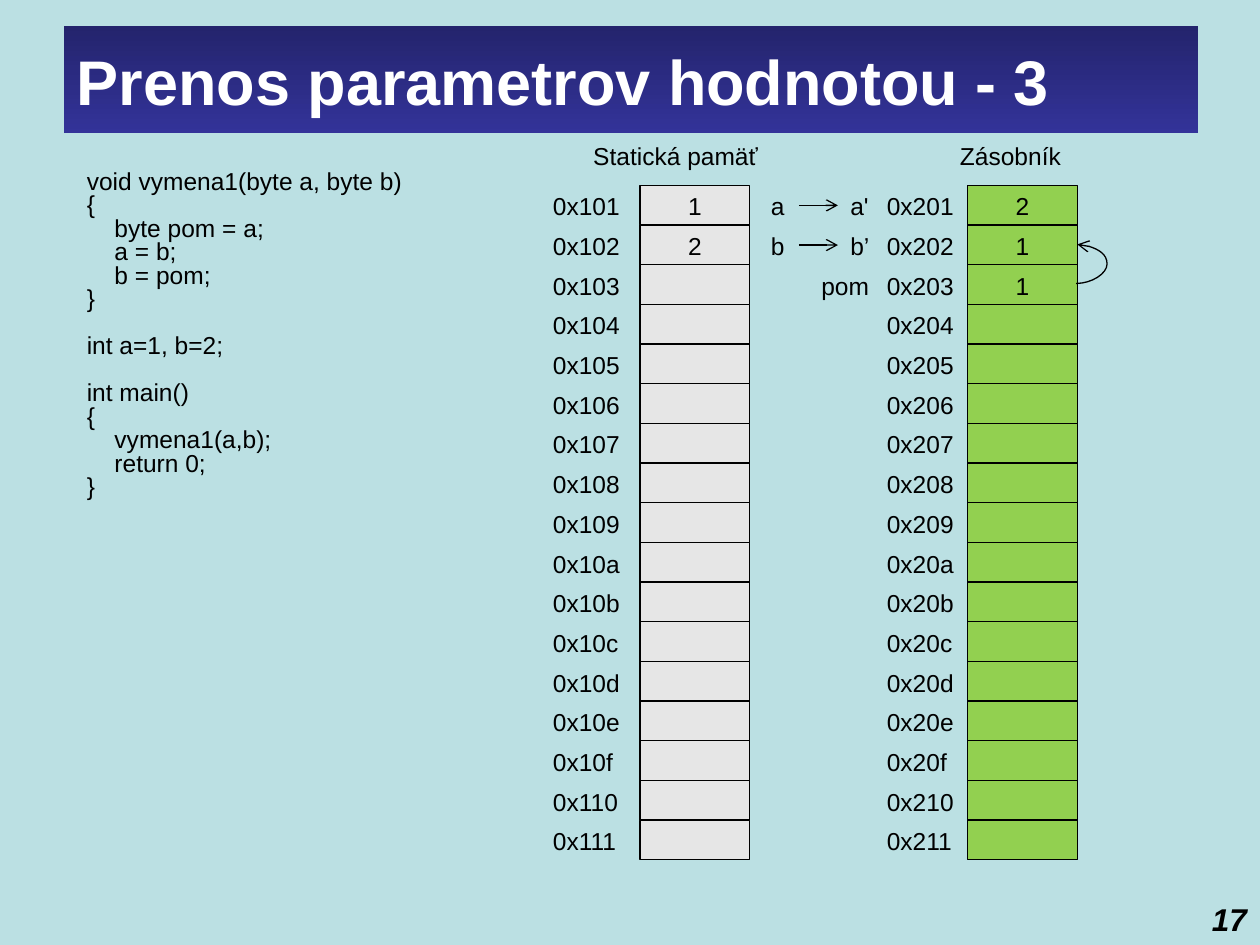
import pptx
import pptx.util
import pptx.dml.color
import pptx.enum.dml
import pptx.enum.shapes
import pptx.enum.text
import pptx.oxml
import pptx.oxml.ns
import lxml.etree

Inches = pptx.util.Inches
Pt = pptx.util.Pt
RGBColor = pptx.dml.color.RGBColor
Anchor = pptx.enum.text.MSO_ANCHOR
Align = pptx.enum.text.PP_ALIGN
Connector = pptx.enum.shapes.MSO_CONNECTOR

BACKGROUND = RGBColor(0xBB, 0xE0, 0xE3)
TITLE_TOP = RGBColor(0x24, 0x24, 0x6D)
TITLE_BOTTOM = RGBColor(0x33, 0x33, 0x99)
WHITE = RGBColor(0xFF, 0xFF, 0xFF)
BLACK = RGBColor(0x00, 0x00, 0x00)
STATIC_GREY = RGBColor(0xE6, 0xE6, 0xE6)
STACK_GREEN = RGBColor(0x92, 0xD0, 0x50)

ROW_COUNT = 17
ROW_TOP = 1.47
ROW_HEIGHT = 0.315
CELL_WIDTH = 0.87
LABEL_HEIGHT = 0.34
CODE_INDENT = 0.22
BLANK_LINE = 13.5

CODE_BLOCKS = [
    [(0, "void vymena1(byte a, byte b)"), (0, "{"), (1, "byte pom = a;"),
     (1, "a = b;"), (1, "b = pom;"), (0, "}")],
    [(0, "int a=1, b=2;")],
    [(0, "int main()"), (0, "{"), (1, "vymena1(a,b);"), (1, "return 0;"), (0, "}")],
]


def row_top(row):
    return ROW_TOP + row * ROW_HEIGHT


def format_font(paragraph, size=14, color=BLACK, bold=False, italic=False):
    font = paragraph.font
    font.name = "Arial"
    font.size = Pt(size)
    font.color.rgb = color
    font.bold = bold
    font.italic = italic


def add_label(shapes, text, left, top, width, height=LABEL_HEIGHT, wrap=False, **style):
    box = shapes.add_textbox(Inches(left), Inches(top), Inches(width), Inches(height))
    box.text_frame.word_wrap = wrap
    paragraph = box.text_frame.paragraphs[0]
    paragraph.text = text
    format_font(paragraph, **style)


def add_cell(shapes, text, left, top, color):
    cell = shapes.add_shape(pptx.enum.shapes.MSO_SHAPE.RECTANGLE, Inches(left),
                            Inches(top), Inches(CELL_WIDTH), Inches(ROW_HEIGHT))
    cell.shadow.inherit = False
    cell.fill.solid()
    cell.fill.fore_color.rgb = color
    cell.line.color.rgb = BLACK
    cell.line.width = Pt(0.75)
    cell.text_frame.vertical_anchor = Anchor.TOP
    paragraph = cell.text_frame.paragraphs[0]
    paragraph.text = text
    paragraph.alignment = Align.CENTER
    format_font(paragraph)


def add_memory(page, first_address, values, label_left, cell_left, color, heading):
    shapes = page.shapes.add_group_shape().shapes
    for row in range(ROW_COUNT):
        value = values[row] if row < len(values) else ""
        add_cell(shapes, value, cell_left, row_top(row), color)
        add_label(shapes, f"0x{first_address + row:x}", label_left, row_top(row), 0.73)
    text, left, width = heading
    add_label(shapes, text, left, 1.07, width)


def add_arrow(page, kind, start_left, start_top, end_left, end_top):
    arrow = page.shapes.add_connector(kind, Inches(start_left), Inches(start_top),
                                      Inches(end_left), Inches(end_top))
    arrow.line.color.rgb = BLACK
    arrow.line.width = Pt(0.75)
    head = lxml.etree.SubElement(arrow.line._get_or_add_ln(), pptx.oxml.ns.qn("a:tailEnd"))
    head.set("type", "arrow")
    lxml.etree.SubElement(arrow._element.spPr, pptx.oxml.ns.qn("a:effectLst"))
    return arrow


def add_return_arrow(page):
    arrow = add_arrow(page, Connector.CURVE, 8.54, 2.25, 8.55, 1.94)
    geometry = arrow._element.spPr.find(pptx.oxml.ns.qn("a:prstGeom"))
    guides = geometry.find(pptx.oxml.ns.qn("a:avLst"))
    guide = lxml.etree.SubElement(guides, pptx.oxml.ns.qn("a:gd"))
    guide.set("name", "adj1")
    guide.set("fmla", "val 2500000")


def add_code(page):
    box = page.shapes.add_textbox(Inches(0.59), Inches(1.31), Inches(3.39), Inches(2.74))
    frame = box.text_frame
    frame.word_wrap = True
    paragraph = None
    for block_index, block in enumerate(CODE_BLOCKS):
        for line_index, (level, text) in enumerate(block):
            paragraph = frame.add_paragraph() if paragraph else frame.paragraphs[0]
            paragraph.text = text
            paragraph.line_spacing = 0.8
            if block_index and line_index == 0:
                paragraph.space_before = Pt(BLANK_LINE)
            if level:
                paragraph._p.get_or_add_pPr().set("marL", str(Inches(level * CODE_INDENT)))
            format_font(paragraph)


def format_title(page):
    title = page.shapes.title
    title.left, title.top = Inches(0.51), Inches(0.21)
    title.width, title.height = Inches(9), Inches(0.85)
    title.fill.gradient()
    title.fill.gradient_angle = 270
    for stop, position, color in zip(title.fill.gradient_stops, (0, 1),
                                     (TITLE_TOP, TITLE_BOTTOM)):
        stop.position = position
        stop.color.rgb = color
    frame = title.text_frame
    frame.auto_size = pptx.enum.text.MSO_AUTO_SIZE.NONE
    frame.vertical_anchor = Anchor.MIDDLE
    paragraph = frame.paragraphs[0]
    paragraph.text = "Prenos parametrov hodnotou - 3"
    paragraph.alignment = Align.LEFT
    format_font(paragraph, size=36, color=WHITE, bold=True)


def add_parameters(page):
    for row, (source, target) in enumerate([("a", "a'"), ("b", "b’")]):
        add_label(page.shapes, source, 6.02, row_top(row), 0.31, wrap=True)
        add_label(page.shapes, target, 6.65, row_top(row), 0.39, wrap=True)
        middle = row_top(row) + 0.16
        add_arrow(page, Connector.STRAIGHT, 6.34, middle, 6.65, middle)
    add_label(page.shapes, "pom", 6.42, row_top(2), 0.63, wrap=True)


def main():
    deck = pptx.Presentation()
    deck.slide_width, deck.slide_height = Inches(10), Inches(7.5)
    page = deck.slides.add_slide(deck.slide_layouts[5])
    page.background.fill.solid()
    page.background.fill.fore_color.rgb = BACKGROUND
    format_title(page)
    add_memory(page, 0x101, ["1", "2"], 4.29, 5.08, STATIC_GREY,
               ("Statická pamäť", 4.61, 1.52))
    add_code(page)
    add_parameters(page)
    add_memory(page, 0x201, ["2", "1", "1"], 6.94, 7.68, STACK_GREEN,
               ("Zásobník", 7.52, 1.01))
    add_return_arrow(page)
    add_label(page.shapes, "17", 9.52, 7.09, 0.48, 0.4, size=18, bold=True, italic=True)
    deck.save("out.pptx")


main()
